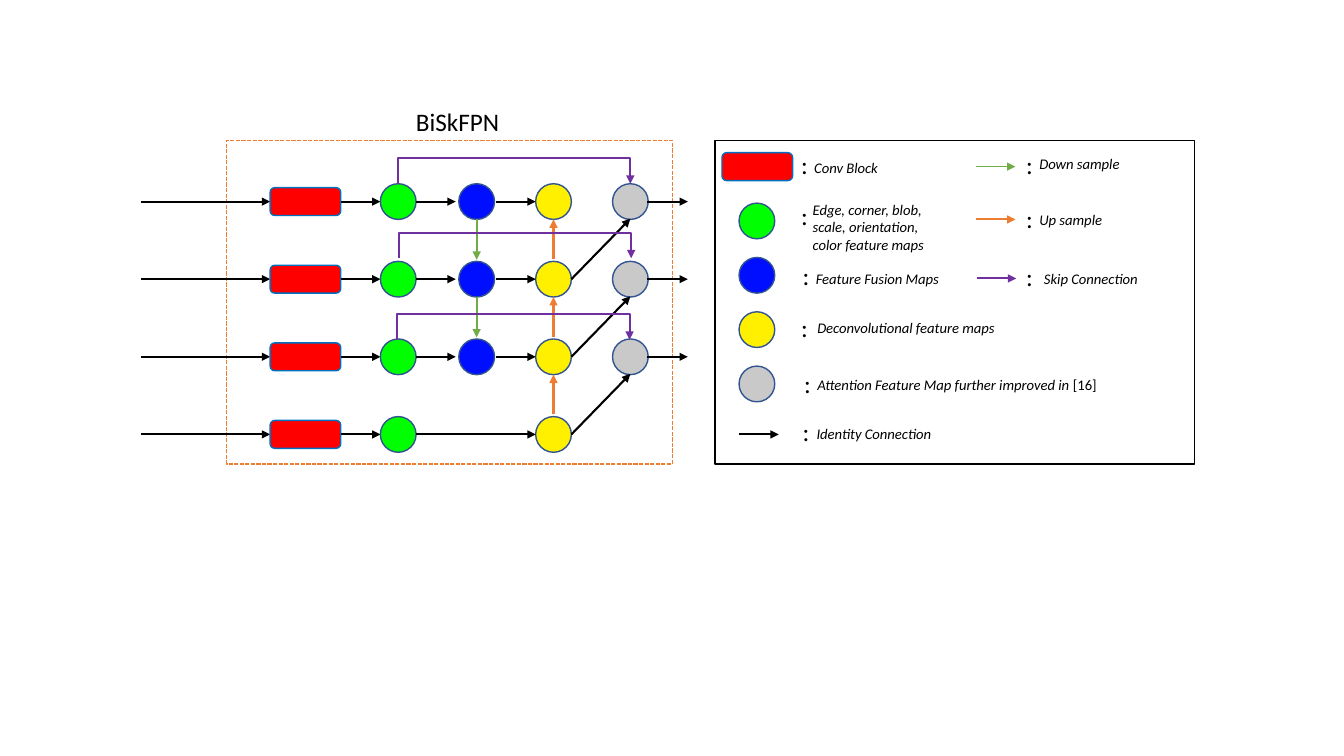
from lxml import etree
from pptx import Presentation
from pptx import util as u
from pptx.dml.color import RGBColor
from pptx.enum import dml, shapes, text
from pptx.oxml.ns import qn

BLACK = RGBColor(0x00, 0x00, 0x00)
WHITE = RGBColor(0xFF, 0xFF, 0xFF)
RED = RGBColor(0xFF, 0x00, 0x00)
LIME = RGBColor(0x00, 0xFF, 0x00)
BLUE = RGBColor(0x00, 0x0E, 0xFF)
YELLOW = RGBColor(0xFF, 0xF0, 0x00)
GRAY = RGBColor(0xC9, 0xC9, 0xC9)
NAVY = RGBColor(0x32, 0x54, 0x91)
AZURE = RGBColor(0x00, 0x70, 0xC0)
ORANGE = RGBColor(0xED, 0x7D, 0x31)
GREEN = RGBColor(0x70, 0xAD, 0x47)
PURPLE = RGBColor(0x70, 0x30, 0xA0)

RADIUS = 0.23  # of a feature-map circle, in cells
BLOCK_W, BLOCK_H = 0.91, 0.36
ARROW = 0.51  # length of a short arrow


class Diagram:
    """Grid of square cells; cell (0, 0) is the centre of the first green circle."""
    CELL, LEFT, TOP = 0.77, 3.95, 2.0
    FONT = "Calibri"

    def __init__(self, slide):
        self.shapes = slide.shapes

    def size(self, cells):
        return u.Inches(cells * self.CELL)

    def point(self, col, row):
        return u.Inches(self.LEFT) + self.size(col), u.Inches(self.TOP) + self.size(row)

    def shape(self, kind, col, row, w, h, fill, line):
        sp = self.shapes.add_shape(kind, *self.point(col, row), self.size(w), self.size(h))
        sp.shadow.inherit = False
        if fill is None:
            sp.fill.background()
        else:
            sp.fill.solid()
            sp.fill.fore_color.rgb = fill
        sp.line.color.rgb = line
        sp.line.width = u.Pt(1)
        return sp

    def box(self, col, row, w, h, fill, line):
        return self.shape(shapes.MSO_SHAPE.RECTANGLE, col, row, w, h, fill, line)

    def circle(self, col, row, fill):
        self.shape(shapes.MSO_SHAPE.OVAL, col - RADIUS, row - RADIUS,
                   2 * RADIUS, 2 * RADIUS, fill, NAVY)

    def block(self, col, row):
        self.shape(shapes.MSO_SHAPE.ROUNDED_RECTANGLE, col, row - BLOCK_H / 2,
                   BLOCK_W, BLOCK_H, RED, AZURE)

    def arrowhead(self, sp, color, width):
        sp.line.color.rgb = color
        sp.line.width = u.Pt(width)
        etree.SubElement(sp.line._get_or_add_ln(), qn("a:tailEnd"), type="triangle")

    def arrow(self, start, end, color=BLACK, width=1.5):
        cn = self.shapes.add_connector(shapes.MSO_CONNECTOR.STRAIGHT,
                                       *self.point(*start), *self.point(*end))
        self.arrowhead(cn, color, width)
        etree.SubElement(cn._element.spPr, qn("a:effectLst"))

    def bent_arrow(self, points, color):
        first, *rest = [self.point(*p) for p in points]
        builder = self.shapes.build_freeform(*first)
        builder.add_line_segments(rest, close=False)
        sp = builder.convert_to_shape()
        sp.shadow.inherit = False
        sp.fill.background()
        self.arrowhead(sp, color, 1.5)

    def label(self, col, row, w, h, paragraphs, size=10.5):
        """Each paragraph is a list of (text, italic) runs."""
        tb = self.shapes.add_textbox(*self.point(col, row), self.size(w), self.size(h))
        tf = tb.text_frame
        tf.word_wrap = False
        tf.auto_size = text.MSO_AUTO_SIZE.SHAPE_TO_FIT_TEXT
        for i, runs in enumerate(paragraphs):
            p = tf.add_paragraph() if i else tf.paragraphs[0]
            for words, italic in runs:
                r = p.add_run()
                r.text = words
                r.font.name = self.FONT
                r.font.size = u.Pt(size)
                r.font.italic = italic
                r.font.color.rgb = BLACK


def draw_network(d):
    frame = d.box(-2.21, -0.79, 5.74, 4.17, None, ORANGE)
    frame.line.dash_style = dml.MSO_LINE.SQUARE_DOT
    d.label(0.10, -1.29, 1.34, 0.52, [[("BiSkFPN", False)]], 18)

    block_left = -1.65
    for row in range(4):
        full = row < 3  # the last level has no fusion or attention map
        d.arrow((-3.31, row), (block_left, row))
        d.block(block_left, row)
        d.arrow((block_left + BLOCK_W, row), (-RADIUS, row))
        d.circle(0, row, LIME)
        d.circle(2, row, YELLOW)
        if full:
            d.arrow((RADIUS, row), (RADIUS + ARROW, row))
            d.circle(1.01, row, BLUE)
            d.arrow((1.26, row), (2 - RADIUS, row))
            d.circle(2.99, row, GRAY)
            d.arrow((3.21, row), (3.73, row))
        else:
            d.arrow((RADIUS, row), (2 - RADIUS, row))

    # Links between neighbouring levels
    for row in range(1, 4):
        d.arrow((2 + RADIUS, row), (2.99, row - 0.78))
        d.arrow((2, row - 0.26), (2, row - 0.77), ORANGE)
        if row < 3:
            d.arrow((1.01, row - 0.77), (1.01, row - 0.25), GREEN)

    # Skip connections
    for col, top in ((0, -0.56), (0.01, 0.40), (-0.01, 1.45)):
        d.bent_arrow([(col, top + 0.33), (col, top), (col + 2.99, top),
                      (col + 2.99, top + 0.33)], PURPLE)


def draw_legend(d):
    d.box(4.08, -0.79, 6.18, 4.17, WHITE, BLACK)

    # Symbols
    d.block(4.17, -0.45)
    for i, fill in enumerate((LIME, BLUE, YELLOW, GRAY)):
        d.circle(4.62, 0.25 + 0.7 * i, fill)
    for col, row, color, width in ((4.39, 3.0, BLACK, 1.5), (7.44, -0.45, GREEN, 1),
                                   (7.44, 0.23, ORANGE, 1.5), (7.45, 0.99, PURPLE, 1.5)):
        d.arrow((col, row), (col + ARROW, row), color, width)

    # Colon place, then label place, width and lines
    entries = (
        (5.06, -0.74, 5.23, -0.62, 1.10, ["Conv Block"]),
        (5.06, -0.08, 5.21, -0.08, 1.79,
         ["Edge, corner, blob,", "scale, orientation,", "color feature maps"]),
        (5.08, 0.69, 5.25, 0.81, 1.88, ["Feature Fusion Maps"]),
        (5.06, 1.36, 5.27, 1.45, 2.58, ["Deconvolutional feature maps"]),
        (5.10, 2.08, 5.27, 2.18, 3.94, ["Attention Feature Map further improved in |[16]"]),
        (5.08, 2.70, 5.26, 2.81, 1.77, ["Identity Connection"]),
        (7.96, -0.74, 8.13, -0.66, 1.31, ["Down sample"]),
        (7.96, -0.04, 8.13, 0.05, 1.08, ["Up sample"]),
        (7.96, 0.71, 8.19, 0.81, 1.49, ["Skip Connection"]),
    )
    for colon_col, colon_row, col, row, w, lines in entries:
        d.label(colon_col, colon_row, 0.35, 0.52, [[(":", False)]], 18)
        # A bar starts the upright part of a line
        paragraphs = [[(part, i == 0) for i, part in enumerate(line.split("|"))]
                      for line in lines]
        d.label(col, row, w, 0.13 + 0.23 * len(lines), paragraphs)


def main():
    prs = Presentation()
    prs.slide_width, prs.slide_height = u.Inches(13.33), u.Inches(7.5)
    d = Diagram(prs.slides.add_slide(prs.slide_layouts[6]))
    draw_network(d)
    draw_legend(d)
    prs.save("out.pptx")


if __name__ == "__main__":
    main()
